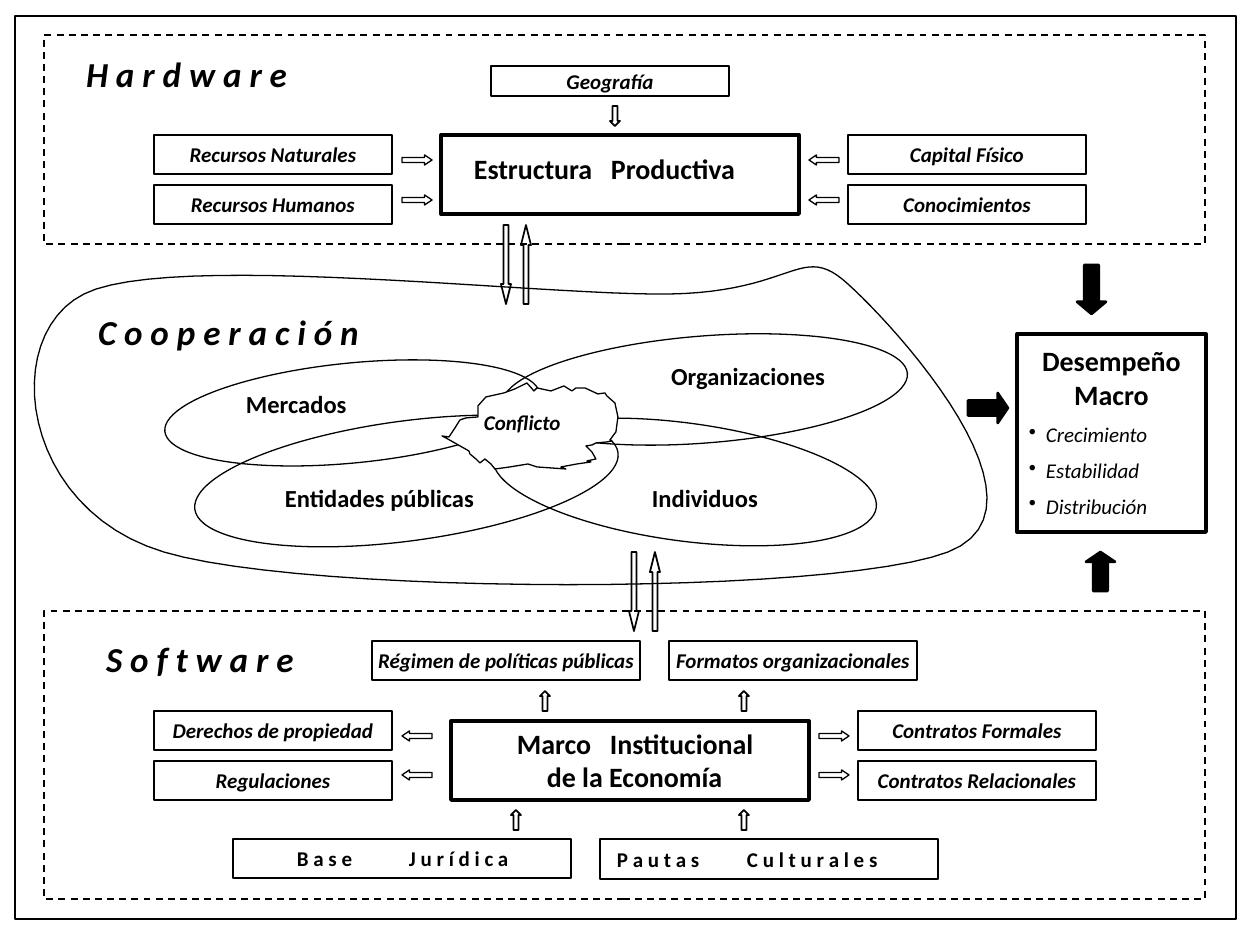
from lxml import etree
from pptx import Presentation, util as u
from pptx.dml.color import RGBColor
from pptx.enum import dml, shapes, text
from pptx.oxml.ns import qn

BLACK, WHITE = RGBColor(0, 0, 0), RGBColor(255, 255, 255)
PX = 914400 / 126
KIND = shapes.MSO_SHAPE
LEFT, CENTER = text.PP_ALIGN.LEFT, text.PP_ALIGN.CENTER

FRAME = (15, 16, 1221, 903)
ZONES = [(44, 35, 1161, 209), (44, 611, 1161, 288)]
SIDE_SIZE = (238, 39)
SIDE_COLUMNS = [
    (154, 135, ["Recursos Naturales", "Recursos Humanos"]),
    (848, 135, ["Capital Físico", "Conocimientos"]),
    (154, 711, ["Derechos de propiedad", "Regulaciones"]),
    (858, 711, ["Contratos Formales", "Contratos Relacionales"]),
]
SIDE_STEP = 50
FACTOR_BOXES = [
    ("Geografía", (491, 66, 238, 30)),
    ("Régimen de políticas públicas", (372, 641, 268, 39)),
    ("Formatos organizacionales", (669, 641, 248, 39)),
]
BASE_BOXES = [
    ("B a s e\tJ u r í d i c a", (233, 839, 338, 39), 64, 112),
    ("P a u t a s\tC u l t u r a l e s", (600, 839, 338, 40), 17, 130),
]
CORE_BOXES = [(441, 135, 358, 79), (451, 721, 358, 79)]
CORE_LABELS = [
    (["Estructura\tProductiva"], (474, 151, 300, 34), [137]),
    (["Marco\tInstitucional", "\tde la Economía"], (517, 726, 280, 68), [93, 30]),
]
ZONE_TITLES = [
    ("H a r d w a r e", (86, 51, 210, 44)),
    ("C o o p e r a c i ó n", (98, 309, 270, 44)),
    ("S o f t w a r e", (106, 636, 195, 44)),
]
ACTORS = [
    ("Mercados", (246, 389, 101, 30), (164, 363, 377, 100), -5.6),
    ("Organizaciones", (671, 361, 155, 30), (501, 336, 407, 107), -4.5),
    ("Entidades públicas", (285, 483, 190, 30), (193, 421, 427, 120), -7.6),
    ("Individuos", (652, 483, 107, 30), (491, 423, 387, 118), 7.6),
]
CLOUD_START = (669, 294)
CLOUD_CURVES = [
    ((542, 296), (169, 251), (84, 294)), ((0, 336), (20, 509), (164, 552)),
    ((307, 595), (833, 596), (948, 552)), ((1062, 508), (895, 326), (848, 284)),
    ((801, 241), (796, 292), (669, 294)),
]
CONFLICT = [
    (478, 406), (486, 397), (504, 393), (515, 389), (527, 383), (534, 391),
    (537, 388), (551, 391), (564, 386), (572, 391), (576, 388), (585, 388),
    (598, 394), (605, 393), (607, 396), (615, 403), (618, 417), (616, 432),
    (610, 440), (612, 441), (607, 442), (596, 443), (592, 445), (586, 446),
    (592, 452), (596, 459), (587, 461), (591, 462), (577, 464), (561, 467),
    (566, 469), (537, 467), (528, 464), (510, 467), (495, 469), (491, 464),
    (485, 459), (480, 463), (476, 459), (470, 454), (469, 451), (446, 438),
    (442, 436), (449, 437), (455, 428), (460, 420), (466, 418), (478, 417),
]
RESULT_BOX = (1017, 334, 189, 198)
RESULT_TITLE = "Desempeño Macro"
RESULTS = ["Crecimiento", "Estabilidad", "Distribución"]
ARROWS = [
    ((30, 10), 0.74, 0.75, None, [
        (KIND.RIGHT_ARROW, [(402, 155), (402, 195), (819, 731), (819, 770)]),
        (KIND.LEFT_ARROW, [(809, 155), (809, 195), (402, 731), (402, 770)])]),
    ((10, 20), 0.5, 1, None, [
        (KIND.DOWN_ARROW, [(610, 106)]),
        (KIND.UP_ARROW, [(540, 691), (739, 691), (511, 810), (739, 810)])]),
    ((10, 79), 2, 1, None, [
        (KIND.DOWN_ARROW, [(501, 225), (629, 552)]),
        (KIND.UP_ARROW, [(521, 225), (650, 552)])]),
    ((40, 30), 0.34, 1.5, BLACK, [(KIND.RIGHT_ARROW, [(968, 393)])]),
    ((29, 49), 0.42, 1.5, BLACK, [(KIND.DOWN_ARROW, [(1077, 265)])]),
    ((29, 39), 0.34, 1.5, BLACK, [(KIND.UP_ARROW, [(1086, 552)])]),
]

presentation = Presentation()
presentation.slide_width, presentation.slide_height = u.Inches(10), u.Inches(7.5)
slide = presentation.slides.add_slide(presentation.slide_layouts[6])


def px(value):
    return u.Emu(round(value * PX))


def apply(target, **formats):
    for name, value in formats.items():
        setattr(target, name, value)


def outline(shape, width, fill=None, dash=None):
    shape.shadow.inherit = False
    if fill is None:
        shape.fill.background()
    else:
        shape.fill.solid()
        shape.fill.fore_color.rgb = fill
    shape.line.color.rgb = BLACK
    apply(shape.line, width=u.Pt(width), dash_style=dash)
    return shape


def add_preset(kind, box, width, fill=None, dash=None):
    return outline(slide.shapes.add_shape(kind, *map(px, box)), width, fill, dash)


def add_outline(points, width, fill=None):
    start, *rest = [(px(x), px(y)) for x, y in points]
    builder = slide.shapes.build_freeform(*start)
    builder.add_line_segments(rest, close=True)
    return outline(builder.convert_to_shape(), width, fill)


def curve_points(start, curves, steps=24):
    points = [start]
    for curve in curves:
        corners = (points[-1], *curve)
        for step in range(1, steps + 1):
            t = step / steps
            weights = ((1 - t) ** 3, 3 * t * (1 - t) ** 2, 3 * t * t * (1 - t), t ** 3)
            points.append(tuple(sum(w * corner[axis] for w, corner in zip(weights, corners))
                                for axis in (0, 1)))
    return points


def style_run(paragraph, line, size, bold, italic):
    run = paragraph.add_run()
    run.text = line
    apply(run.font, name="Calibri", size=u.Pt(size), bold=bold, italic=italic)
    run.font.color.rgb = BLACK


def write(shape, lines, size, bold=True, italic=False, align=CENTER, inset=0, tabs=()):
    frame = shape.text_frame
    apply(frame, word_wrap=bool(tabs), margin_left=px(inset), margin_right=0, margin_top=0,
          margin_bottom=0, vertical_anchor=text.MSO_ANCHOR.MIDDLE)
    for index, line in enumerate(lines):
        paragraph = frame.paragraphs[0] if index == 0 else frame.add_paragraph()
        paragraph.alignment = LEFT if tabs else align
        style_run(paragraph, line, size, bold, italic)
        if tabs:
            stops = etree.SubElement(paragraph._p.get_or_add_pPr(), qn("a:tabLst"))
            etree.SubElement(stops, qn("a:tab"), pos=str(px(tabs[index])), algn="l")


def add_label(lines, box, size, **formats):
    write(slide.shapes.add_textbox(*map(px, box)), lines, size, **formats)


add_preset(KIND.RECTANGLE, FRAME, 1.5, WHITE)
for zone in ZONES:
    add_preset(KIND.RECTANGLE, zone, 1, dash=dml.MSO_LINE.DASH)
add_outline(curve_points(CLOUD_START, CLOUD_CURVES), 0.75)
for name, label_box, ellipse_box, angle in ACTORS:
    add_preset(KIND.OVAL, ellipse_box, 0.75).rotation = angle
    add_label([name], label_box, 14, align=LEFT)
add_outline(CONFLICT, 0.75, WHITE)
add_label(["Conflicto"], (484, 409, 78, 26), 12, italic=True, align=LEFT)

side_boxes = [(name, (left, top + row * SIDE_STEP, *SIDE_SIZE))
              for left, top, names in SIDE_COLUMNS for row, name in enumerate(names)]
for name, box in side_boxes + FACTOR_BOXES:
    write(add_preset(KIND.RECTANGLE, box, 0.75), [name], 12, italic=True)
for name, box, inset, tab in BASE_BOXES:
    write(add_preset(KIND.RECTANGLE, box, 0.75), [name], 12, inset=inset, tabs=[tab])
for box in CORE_BOXES:
    add_preset(KIND.RECTANGLE, box, 2.25)
for lines, box, tabs in CORE_LABELS:
    add_label(lines, box, 16, tabs=tabs)
for title, box in ZONE_TITLES:
    add_label([title], box, 20, italic=True, align=LEFT)

result = add_preset(KIND.RECTANGLE, RESULT_BOX, 2.25)
write(result, [RESULT_TITLE], 16)
apply(result.text_frame, word_wrap=True, margin_left=px(12), margin_right=px(12),
      margin_top=px(10), vertical_anchor=text.MSO_ANCHOR.TOP)
for item in RESULTS:
    paragraph = result.text_frame.add_paragraph()
    apply(paragraph, alignment=LEFT, space_before=u.Pt(6))
    style_run(paragraph, item, 12, False, True)
    properties = paragraph._p.get_or_add_pPr()
    properties.set("marL", str(px(17)))
    properties.set("indent", str(-px(17)))
    etree.SubElement(properties, qn("a:buChar"), char="•")

for size, head, width, fill, groups in ARROWS:
    for kind, places in groups:
        for place in places:
            add_preset(kind, (*place, *size), width, fill).adjustments[1] = head

presentation.save("out.pptx")
